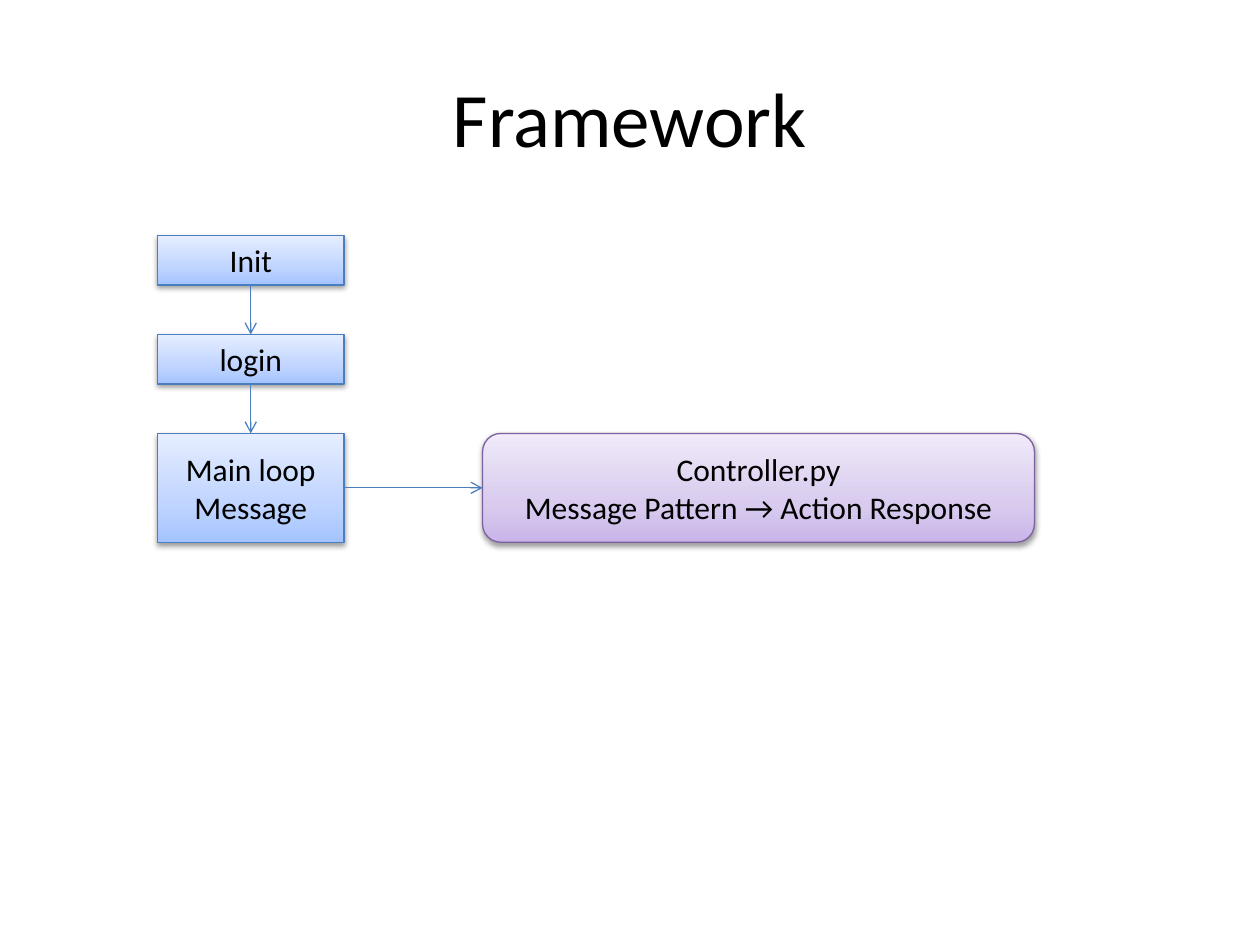
import copy
import dataclasses

import lxml.etree
import pptx
import pptx.dml.color
import pptx.enum.shapes
import pptx.enum.text
import pptx.oxml
import pptx.oxml.ns
import pptx.util

Shape = pptx.enum.shapes.MSO_SHAPE
qn = pptx.oxml.ns.qn
WIDE, HIGH = 10, 7.5
TOP, ROW = 1.87, 0.3925  # start and height of the flow grid's rows
STEP, CALL = (0.125, 0.148), (0.383, 0.438)  # columns: left, width as shares
SITE = {"top": 0, "left": 1, "bottom": 2, "right": 3}


@dataclasses.dataclass(frozen=True)
class Theme:
    """Colours, type sizes and line width of the slide."""
    font: str = "Calibri"
    ink: str = "000000"
    head: int = 44
    body: int = 18
    line: float = 0.75
    edge: str = "4B7EBC"
    blue: tuple = ("A4C4FF", "BFD4FF", "E6EEFF")
    plum: tuple = ("C9B5E8", "D8CBEE", "F0EAF9")
    rim: str = "7D60A0"
    stops: tuple = (0, 0.35, 1)


THEME = Theme()


def tint(code):
    """Turn a hex code into a colour."""
    return pptx.dml.color.RGBColor.from_string(code)


def write(shape, text, size):
    """Set centred text in the theme's font."""
    frame = shape.text_frame
    frame.text = text
    frame.word_wrap = True
    frame.vertical_anchor = pptx.enum.text.MSO_ANCHOR.MIDDLE
    for para in frame.paragraphs:
        para.alignment = pptx.enum.text.PP_ALIGN.CENTER
        for run in para.runs:
            run.font.name = THEME.font
            run.font.size = pptx.util.Pt(size)
            run.font.color.rgb = tint(THEME.ink)


def blend(shape, shades):
    """Fill with an upward gradient of three shades."""
    shape.fill.gradient()
    shape.fill.gradient_angle = 90
    stops = shape._element.spPr.find(".//" + qn("a:gsLst"))
    stops.append(copy.deepcopy(stops[0]))
    for stop, shade, place in zip(shape.fill.gradient_stops, shades, THEME.stops):
        stop.color.rgb = tint(shade)
        stop.position = place


def shade(shape):
    """Drop a soft shadow below the shape."""
    shape.shadow.inherit = False
    effects = shape._element.spPr.find(qn("a:effectLst"))
    drop = lxml.etree.SubElement(
        effects, qn("a:outerShdw"), blurRad="40000", dist="20000",
        dir="5400000", rotWithShape="0")
    black = lxml.etree.SubElement(drop, qn("a:srgbClr"), val="000000")
    lxml.etree.SubElement(black, qn("a:alpha"), val="38000")


def box(slide, text, column, row, rows, kind=Shape.RECTANGLE,
        shades=THEME.blue, edge=THEME.edge):
    """Add a labelled box on the flow grid."""
    left, width = (pptx.util.Inches(WIDE * part) for part in column)
    shape = slide.shapes.add_shape(
        kind, left, pptx.util.Inches(TOP + row * ROW),
        width, pptx.util.Inches(rows * ROW))
    blend(shape, shades)
    shape.line.color.rgb = tint(edge)
    shape.line.width = pptx.util.Pt(THEME.line)
    shade(shape)
    write(shape, text, THEME.body)
    return shape


def link(slide, start, out, end, into):
    """Join two boxes with an arrow."""
    arrow = slide.shapes.add_connector(
        pptx.enum.shapes.MSO_CONNECTOR.STRAIGHT, 0, 0, 0, 0)
    arrow.begin_connect(start, SITE[out])
    arrow.end_connect(end, SITE[into])
    arrow.line.color.rgb = tint(THEME.edge)
    arrow.line.width = pptx.util.Pt(THEME.line)
    lxml.etree.SubElement(arrow.line._get_or_add_ln(), qn("a:tailEnd"), type="arrow")
    lxml.etree.SubElement(arrow._element.spPr, qn("a:effectLst"))


def title(slide, text):
    """Place and fill the title."""
    head = slide.shapes.title
    head.left, head.width = (pptx.util.Inches(WIDE * part) for part in (0.05, 0.9))
    head.top = pptx.util.Inches(HIGH * 0.04)
    head.height = pptx.util.Inches(1.25)
    write(head, text, THEME.head)


def main():
    """Build the slide and save it."""
    deck = pptx.Presentation()
    deck.slide_width = pptx.util.Inches(WIDE)
    deck.slide_height = pptx.util.Inches(HIGH)
    slide = deck.slides.add_slide(deck.slide_layouts[5])
    title(slide, "Framework")
    init = box(slide, "Init", STEP, 0, 1)
    login = box(slide, "login", STEP, 2, 1)
    loop = box(slide, "Main loop\nMessage", STEP, 4, 2.2)
    control = box(slide, "Controller.py\nMessage Pattern → Action Response",
                  CALL, 4, 2.2, Shape.ROUNDED_RECTANGLE, THEME.plum, THEME.rim)
    link(slide, init, "bottom", login, "top")
    link(slide, login, "bottom", loop, "top")
    link(slide, loop, "right", control, "left")
    deck.save("out.pptx")


main()
